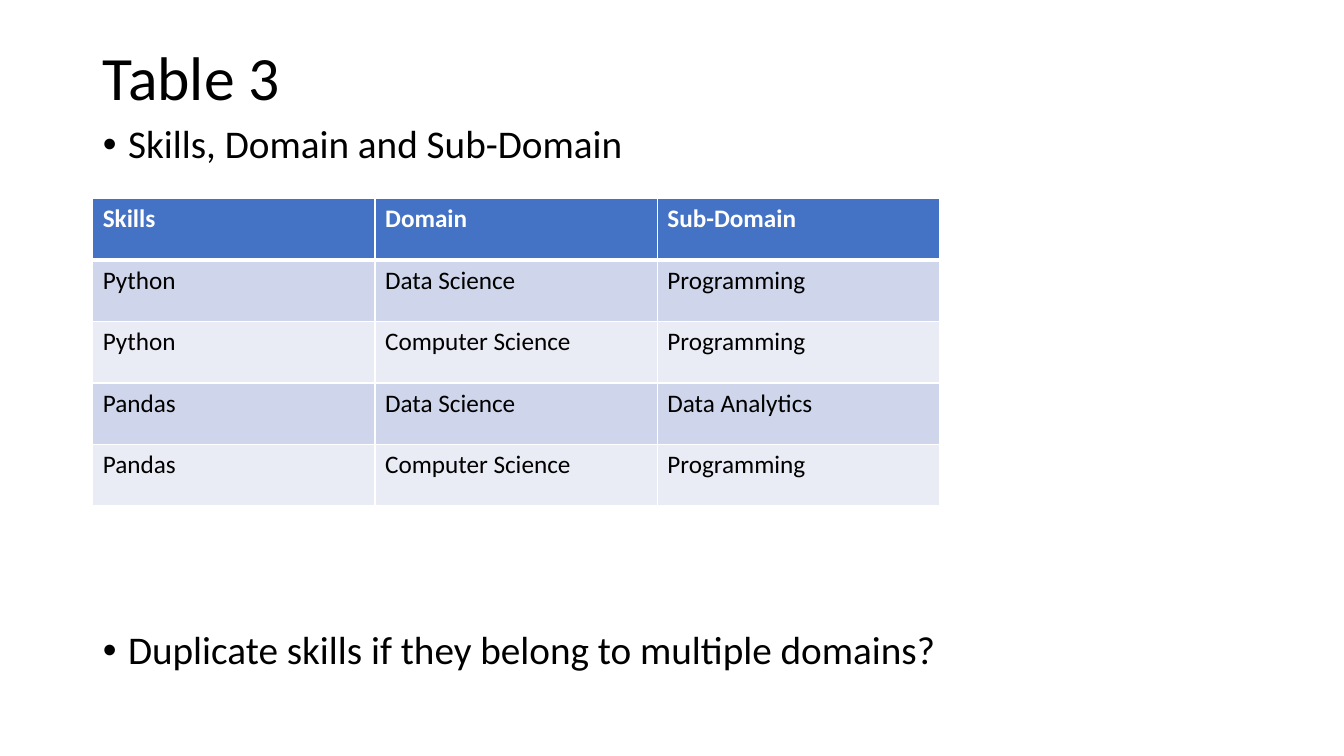
"""Build the slide that shows skills with their domains and sub-domains."""
from dataclasses import dataclass
from typing import Any

from lxml import etree
from pptx import Presentation
from pptx.dml.color import RGBColor
from pptx.enum.text import MSO_ANCHOR, MSO_AUTO_SIZE, PP_ALIGN
from pptx.oxml.ns import qn
from pptx.util import Inches, Pt

LEFT = PP_ALIGN.LEFT
TOP = MSO_ANCHOR.TOP
MIDDLE = MSO_ANCHOR.MIDDLE
NO_AUTOFIT = MSO_AUTO_SIZE.NONE

COLORS = {
    "text": "000000",
    "white": "FFFFFF",
    "header": "4472C4",
    "odd": "CFD5EA",
    "even": "E9EBF5",
}
FONT = "Calibri"
COLUMN_WIDTH, ROW_HEIGHT = 2.8, 0.61
THIN, THICK = 1, 3


@dataclass
class Line:
    text: str
    space_before: float = 0
    bullet: bool = False


@dataclass
class TextArea:
    top: float
    height: float
    size: float
    anchor: Any
    lines: list[Line]


TITLE = TextArea(0.4, 0.79, 44, MIDDLE, [Line("Table 3")])
BODY = TextArea(1.19, 5.57, 28, TOP, [
    Line("Skills, Domain and Sub-Domain", 10, True),
    Line("Duplicate skills if they belong to multiple domains?", 331, True),
])
SKILL_ROWS = [
    ("Skills", "Domain", "Sub-Domain"),
    ("Python", "Data Science", "Programming"),
    ("Python", "Computer Science", "Programming"),
    ("Pandas", "Data Science", "Data Analytics"),
    ("Pandas", "Computer Science", "Programming"),
]


def apply_format(target: Any, values: dict[str, Any]) -> None:
    """Set every named attribute on the target."""
    for name, value in values.items():
        setattr(target, name, value)


def format_font(font: Any, size: float, color: str, bold: bool = False) -> None:
    """Give a font its face, size, weight and colour."""
    apply_format(font, {"name": FONT, "size": Pt(size), "bold": bold})
    font.color.rgb = RGBColor.from_string(COLORS[color])


def add_bullet(paragraph: Any) -> None:
    """Give a paragraph a hanging round bullet."""
    properties = paragraph._p.get_or_add_pPr()
    properties.set("marL", str(Inches(0.25)))
    properties.set("indent", str(-Inches(0.25)))
    etree.SubElement(properties, qn("a:buFont"), typeface="Arial")
    etree.SubElement(properties, qn("a:buChar"), char="•")


def fill_placeholder(shape: Any, area: TextArea) -> None:
    """Place a placeholder and write its lines."""
    apply_format(shape, {
        "left": Inches(0.92), "top": Inches(area.top),
        "width": Inches(11.5), "height": Inches(area.height),
    })
    frame = shape.text_frame
    apply_format(frame, {
        "word_wrap": True, "auto_size": NO_AUTOFIT,
        "vertical_anchor": area.anchor,
    })
    frame.text = "\n".join(line.text for line in area.lines)
    for paragraph, line in zip(frame.paragraphs, area.lines):
        apply_format(paragraph, {
            "alignment": LEFT, "line_spacing": 0.9,
            "space_before": Pt(line.space_before),
        })
        format_font(paragraph.runs[0].font, area.size, "text")
        if line.bullet:
            add_bullet(paragraph)


def set_borders(cell: Any, top: float, bottom: float) -> None:
    """Draw white borders on all four sides of a cell."""
    properties = cell._tc.get_or_add_tcPr()
    widths = {"lnL": THIN, "lnR": THIN, "lnT": top, "lnB": bottom}
    for position, (side, width) in enumerate(widths.items()):
        border = etree.Element(qn(f"a:{side}"), w=str(Pt(width)))
        fill = etree.SubElement(border, qn("a:solidFill"))
        etree.SubElement(fill, qn("a:srgbClr"), val=COLORS["white"])
        properties.insert(position, border)


def add_skill_table(slide: Any) -> None:
    """Add the banded table of skills."""
    row_count, column_count = len(SKILL_ROWS), len(SKILL_ROWS[0])
    table = slide.shapes.add_table(
        row_count, column_count, Inches(0.92), Inches(1.97),
        Inches(COLUMN_WIDTH * column_count), Inches(ROW_HEIGHT * row_count),
    ).table
    for row, texts in enumerate(SKILL_ROWS):
        is_header = row == 0
        band = "header" if is_header else "odd" if row % 2 else "even"
        for column, text in enumerate(texts):
            cell = table.cell(row, column)
            cell.text = text
            cell.fill.solid()
            cell.fill.fore_color.rgb = RGBColor.from_string(COLORS[band])
            format_font(cell.text_frame.paragraphs[0].runs[0].font, 18,
                        "white" if is_header else "text", is_header)
            set_borders(cell, THICK if row == 1 else THIN,
                        THICK if is_header else THIN)


def main() -> None:
    """Build and save the presentation."""
    presentation = Presentation()
    apply_format(presentation, {
        "slide_width": Inches(13.33), "slide_height": Inches(7.5),
    })
    slide = presentation.slides.add_slide(presentation.slide_layouts[1])
    fill_placeholder(slide.shapes.title, TITLE)
    fill_placeholder(slide.placeholders[1], BODY)
    add_skill_table(slide)
    presentation.save("out.pptx")


if __name__ == "__main__":
    main()
